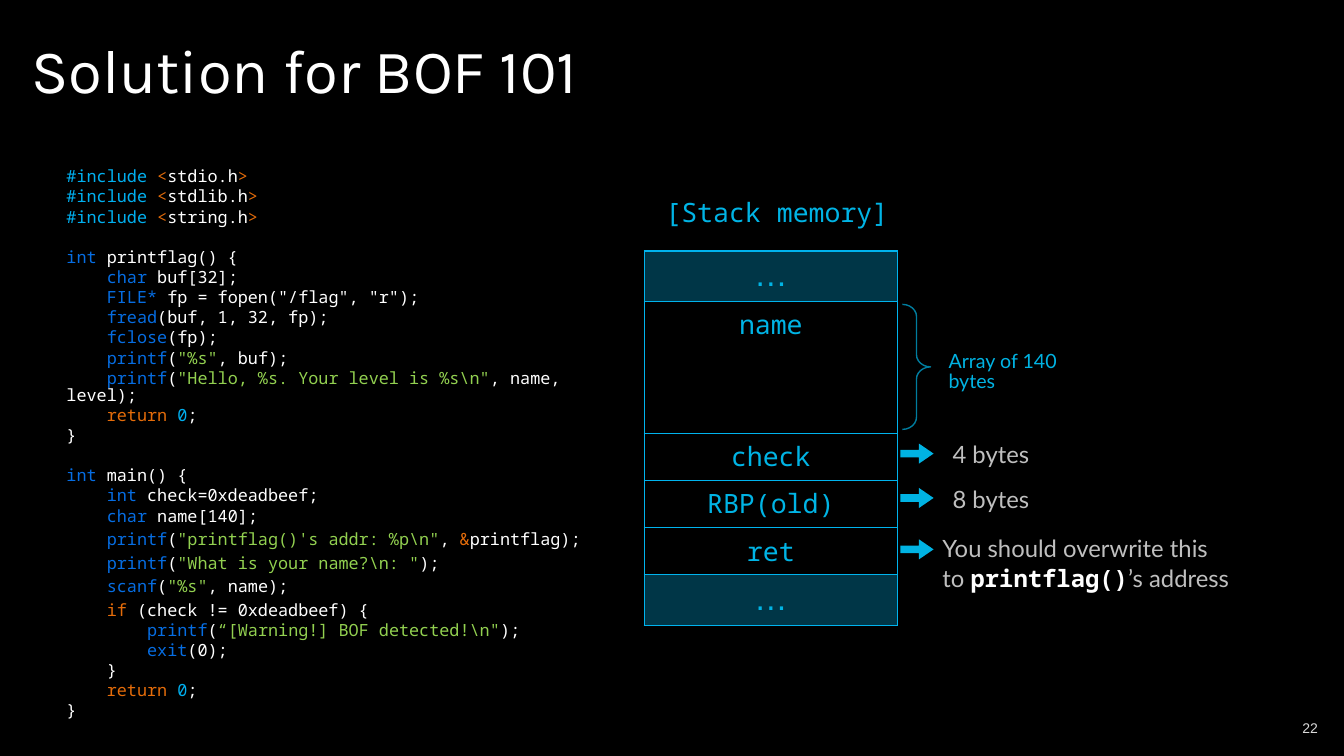
from dataclasses import dataclass

from lxml.etree import SubElement
from pptx import Presentation
from pptx.dml.color import RGBColor
from pptx.enum.shapes import MSO_SHAPE
from pptx.enum.text import MSO_ANCHOR, PP_ALIGN
from pptx.oxml.ns import qn
from pptx.util import Inches, Pt

BLACK = RGBColor(0x00, 0x00, 0x00)
WHITE = RGBColor(0xFF, 0xFF, 0xFF)
SILVER = RGBColor(0xBF, 0xBF, 0xBF)
PALE = RGBColor(0xD9, 0xD9, 0xD9)
CYAN = RGBColor(0x00, 0xB4, 0xE5)
ACCENT = RGBColor(0x00, 0xB3, 0xE3)
BORDER = RGBColor(0x00, 0xB3, 0xED)
SKY = RGBColor(0x00, 0xB0, 0xF0)
BLUE = RGBColor(0x06, 0x6D, 0xE2)
ORANGE = RGBColor(0xE4, 0x6C, 0x0A)
GREEN = RGBColor(0x92, 0xD0, 0x50)
MONO, SANS = "Noto Sans Mono", "Lato"

TITLE_FONT = {"name": "Karla", "size": Pt(44)}
NUMBER_FONT = {"name": "Arial", "size": Pt(10)}
CODE_FONT = {"name": MONO, "size": Pt(12)}
STACK_FONT = {"name": MONO, "size": Pt(19)}
DOTS_FONT = {"name": "Arial", "size": Pt(24)}
LABEL_FONT = {"name": SANS, "size": Pt(14)}
NOTE_FONT = {"name": SANS, "size": Pt(17)}
CALL_FONT = {"name": MONO, "bold": True}

TIGHT = {"line_spacing": Pt(12), "space_before": Pt(2.4)}
SECTION = TIGHT | {"space_before": Pt(16.8)}
LOOSE = {"space_before": Pt(2.4)}
NOTE_GAP = {"space_before": Pt(0.5)}
CENTERED = {"alignment": PP_ALIGN.CENTER}


def include(header):
    """Return the code line that includes a header."""
    return 0, TIGHT, [("#include ", SKY), ("<", ORANGE), (header, WHITE), (">", ORANGE)]


def call(name, quoted="", rest="", level=1, spacing=TIGHT):
    """Return the code line of a function call with an optional quoted string."""
    return level, spacing, [(name, BLUE), ("(", WHITE), (quoted, GREEN), (rest, WHITE)]


def declare(kind, rest, level=1, spacing=TIGHT):
    """Return the code line of a declaration."""
    return level, spacing, [(kind + " ", BLUE), (rest, WHITE)]


RETURN = (1, TIGHT, [("return ", ORANGE), ("0", SKY), (";", WHITE)])
CLOSE = (0, TIGHT, [("}", WHITE)])
CODE = [
    include("stdio.h"),
    include("stdlib.h"),
    include("string.h"),
    declare("int", "printflag() {", 0, SECTION),
    declare("char", "buf[32];"),
    declare("FILE*", 'fp = fopen("/flag", "r");'),
    call("fread", rest="buf, 1, 32, fp);"),
    call("fclose", rest="fp);"),
    call("printf", '"%s"', ", buf);"),
    call("printf", '"Hello, %s. Your level is %s\\n"', ", name, level);"),
    RETURN,
    CLOSE,
    declare("int", "main() {", 0, SECTION),
    declare("int", "check=0xdeadbeef;"),
    declare("char", "name[140];"),
    (1, LOOSE, [("printf", BLUE), ("(", WHITE), ('"printflag()\'s addr: %p\\n"', GREEN),
                (", ", WHITE), ("&", ORANGE), ("printflag);", WHITE)]),
    call("printf", '"What is your name?\\n: "', ");", spacing=LOOSE),
    call("scanf", '"%s"', ", name);", spacing=LOOSE),
    (1, LOOSE, [("if ", ORANGE), ("(check != 0xdeadbeef) {", WHITE)]),
    call("printf", '\u201c[Warning!] BOF detected!\\n"', ");", level=2),
    call("exit", rest="0);", level=2),
    (1, TIGHT, [("}", WHITE)]),
    RETURN,
    CLOSE,
]
STACK = [("\u2026", 1), ("name", 2.79), ("check", 1), ("RBP(old)", 1), ("ret", 1), ("\u2026", 1)]


@dataclass
class Box:
    """An area of the slide, divided into 100 columns and 100 rows."""
    left: int
    top: int
    width: int
    height: int

    def area(self, column, row, columns, rows):
        """Return the box that covers the given columns and rows."""
        return Box(int(self.left + self.width * column / 100),
                   int(self.top + self.height * row / 100),
                   int(self.width * columns / 100), int(self.height * rows / 100))

    def place(self):
        """Return left, top, width and height."""
        return self.left, self.top, self.width, self.height


def apply(target, values):
    """Set every attribute in the dict on the target."""
    for name, value in values.items():
        setattr(target, name, value)


def add_run(paragraph, text, color, font):
    """Append a formatted run."""
    run = paragraph.add_run()
    run.text = text
    apply(run.font, font)
    run.font.color.rgb = color


def add_text(slide, box, text, color, font, layout=None):
    """Add a one-paragraph text box and return its text frame."""
    frame = slide.shapes.add_textbox(*box.place()).text_frame
    frame.word_wrap = True
    apply(frame.paragraphs[0], layout or {})
    add_run(frame.paragraphs[0], text, color, font)
    return frame


def set_alpha(fill_parent, percent):
    """Make the solid colour below an element partly transparent."""
    color = next(fill_parent.iter(qn("a:srgbClr")))
    SubElement(color, qn("a:alpha"), val=str(percent * 1000))


def add_code(slide, box):
    """Write the coloured program listing into the box."""
    frame = slide.shapes.add_textbox(*box.place()).text_frame
    apply(frame, {"word_wrap": True, "margin_left": Inches(0.2), "margin_right": Inches(0.2),
                  "margin_top": Inches(0.16), "margin_bottom": Inches(0.16)})
    for index, (level, spacing, runs) in enumerate(CODE):
        paragraph = frame.add_paragraph() if index else frame.paragraphs[0]
        apply(paragraph, spacing)
        properties = paragraph._p.get_or_add_pPr()
        properties.set("marL", "0")
        properties.set("indent", str(Inches(0.4) * level))
        for text, color in runs:
            if text:
                add_run(paragraph, text, color, CODE_FONT)


def format_cell(cell, text):
    """Fill, border and label one stack cell."""
    properties = cell._tc.get_or_add_tcPr()
    for side in ("a:lnL", "a:lnR", "a:lnT", "a:lnB"):
        line = SubElement(properties, qn(side), w=str(Pt(0.96)))
        SubElement(SubElement(line, qn("a:solidFill")), qn("a:srgbClr"), val=str(BORDER))
    dots = text == "\u2026"
    if dots:
        cell.fill.solid()
        cell.fill.fore_color.rgb = BORDER
        set_alpha(properties.find(qn("a:solidFill")), 30)
    else:
        cell.fill.background()
    paragraph = cell.text_frame.paragraphs[0]
    apply(paragraph, CENTERED)
    add_run(paragraph, text, CYAN, DOTS_FONT if dots else STACK_FONT)


def add_stack(slide, box):
    """Draw the stack heading and its memory table."""
    add_text(slide, box.area(0, 0, 100, 9.88), "[Stack memory]", CYAN, STACK_FONT, CENTERED)
    table_box = box.area(4.81, 14.12, 86.25, 85.88)
    table = slide.shapes.add_table(len(STACK), 1, *table_box.place()).table
    apply(table, {"first_row": False, "horz_banding": False})
    total = sum(share for _, share in STACK)
    for row, (text, share) in zip(table.rows, STACK):
        row.height = int(table_box.height * share / total)
        format_cell(row.cells[0], text)


def add_notes_column(slide, box):
    """Explain the stack cells with a brace, arrows and remarks."""
    brace = slide.shapes.add_shape(MSO_SHAPE.RIGHT_BRACE, *box.area(0.56, 0, 7.8, 42.76).place())
    brace.shadow.inherit = False
    brace.adjustments[0] = 0.43
    brace.fill.background()
    brace.line.color.rgb = ACCENT
    brace.line.width = Pt(1)
    set_alpha(brace.line._ln, 70)
    add_text(slide, box.area(10.58, 14.83, 46.52, 16.9), "Array of 140 bytes", ACCENT,
             LABEL_FONT, NOTE_GAP | {"line_spacing": Pt(14)})

    for row in (47.59, 62.76, 80.34):
        arrow = slide.shapes.add_shape(MSO_SHAPE.RIGHT_ARROW, *box.area(0, row, 9.19, 6.9).place())
        arrow.shadow.inherit = False
        arrow.adjustments[0], arrow.adjustments[1] = 0.38, 0.73
        arrow.fill.solid()
        arrow.fill.fore_color.rgb = ACCENT
        arrow.line.fill.background()

    for row, text in ((44.48, "4 bytes"), (60, "8 bytes")):
        add_text(slide, box.area(11.7, row, 29.81, 13.1), text, SILVER, NOTE_FONT, NOTE_GAP)
    advice = add_text(slide, box.area(8.91, 76.9, 91.09, 23.1), "You should overwrite this",
                      SILVER, NOTE_FONT, NOTE_GAP)
    target = advice.add_paragraph()
    apply(target, NOTE_GAP)
    add_run(target, "to ", SILVER, NOTE_FONT)
    add_run(target, "printflag()", WHITE, NOTE_FONT | CALL_FONT)
    add_run(target, "\u2019s address", SILVER, NOTE_FONT)


def add_solution_slide(presentation, box):
    """Build the slide from its title, code, stack, remarks and number."""
    slide = presentation.slides.add_slide(presentation.slide_layouts[6])
    slide.background.fill.solid()
    slide.background.fill.fore_color.rgb = BLACK
    add_text(slide, box.area(1.58, 3.6, 48.99, 11.07), "Solution for BOF 101", WHITE, TITLE_FONT)
    add_code(slide, box.area(3.45, 20.27, 41.94, 75.33))
    add_stack(slide, box.area(46.89, 25.2, 21.83, 56.67))
    add_notes_column(slide, box.area(66.99, 40.27, 26.93, 38.67))
    number = add_text(slide, box.area(76.29, 93.6, 22.51, 5.33), "22", PALE, NUMBER_FONT,
                      {"alignment": PP_ALIGN.RIGHT})
    number.vertical_anchor = MSO_ANCHOR.MIDDLE


presentation = Presentation()
apply(presentation, {"slide_width": Inches(13.33), "slide_height": Inches(7.5)})
add_solution_slide(presentation, Box(0, 0, presentation.slide_width, presentation.slide_height))
presentation.save("out.pptx")
